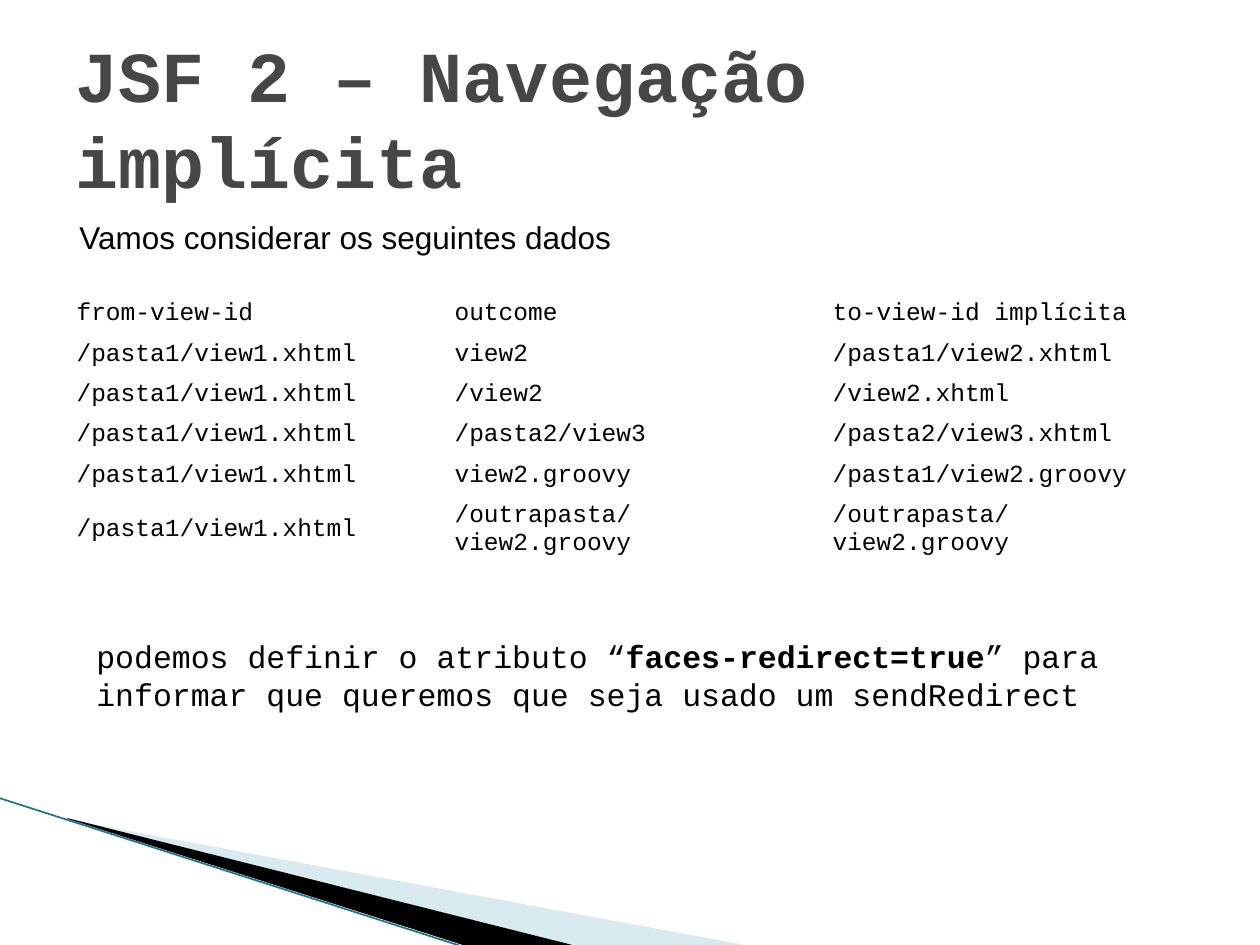
from pptx import Presentation
from pptx import util as u
from pptx.dml.color import RGBColor
from pptx.enum import shapes, text
from pptx.oxml.ns import qn
from lxml import etree

SCALE = 914400 / 126
BLACK = RGBColor(0x00, 0x00, 0x00)
GREY = RGBColor(0x46, 0x46, 0x46)
PALE_BLUE = RGBColor(0xA0, 0xCB, 0xDC)
TEAL = RGBColor(0x1A, 0x73, 0x88)
MONO = "Courier New"
SANS = "Arial"

ORIGIN = "/pasta1/view1.xhtml"
NAVIGATION = [
    ("from-view-id", "outcome", "to-view-id implícita"),
    (ORIGIN, "view2", "/pasta1/view2.xhtml"),
    (ORIGIN, "/view2", "/view2.xhtml"),
    (ORIGIN, "/pasta2/view3", "/pasta2/view3.xhtml"),
    (ORIGIN, "view2.groovy", "/pasta1/view2.groovy"),
    (ORIGIN, "/outrapasta/view2.groovy", "/outrapasta/view2.groovy"),
]


def px(length):
    return u.Emu(round(length * SCALE))


def add_span(para, words, size, font=MONO, color=BLACK, bold=False):
    span = para.add_run()
    span.text = words
    span.font.size = u.Pt(size)
    span.font.name = font
    span.font.color.rgb = color
    span.font.bold = bold


def add_wedge(page, left, top, points, color, opacity=100):
    builder = page.shapes.build_freeform(*points[0], scale=SCALE)
    builder.add_line_segments(points[1:], close=True)
    wedge = builder.convert_to_shape(px(left), px(top))
    wedge.shadow.inherit = False
    wedge.fill.solid()
    wedge.fill.fore_color.rgb = color
    wedge.line.fill.background()
    if opacity < 100:
        tint = wedge.fill._xPr.find(".//" + qn("a:srgbClr"))
        etree.SubElement(tint, qn("a:alpha"), val=str(opacity * 1000))


def add_corner(page, left, top):
    add_wedge(page, left + 69, top + 21,
              [(0, 1), (681, 127), (506, 127), (0, 0)], PALE_BLUE, 40)
    add_wedge(page, left + 67, top + 20,
              [(0, 0), (509, 128), (402, 129), (1, 1)], BLACK)
    edge = page.shapes.add_connector(
        shapes.MSO_CONNECTOR.STRAIGHT,
        px(left - 1), px(top), px(left + 467), px(top + 150))
    edge.line.color.rgb = TEAL
    edge.line.width = u.Pt(0.95)
    etree.SubElement(edge._element.spPr, qn("a:effectLst"))


def add_title(page, left, top, width, height):
    title = page.shapes.title
    title.left, title.top, title.width, title.height = map(
        px, (left, top, width, height))
    frame = title.text_frame
    frame.word_wrap = True
    frame.auto_size = text.MSO_AUTO_SIZE.NONE
    frame.vertical_anchor = text.MSO_ANCHOR.MIDDLE
    para = frame.paragraphs[0]
    para.alignment = text.PP_ALIGN.LEFT
    add_span(para, "JSF 2 – Navegação implícita", 41, color=GREY, bold=True)


def add_text(page, left, top, width, height, spans, font, anchor):
    box = page.shapes.add_textbox(*map(px, (left, top, width, height)))
    frame = box.text_frame
    frame.word_wrap = True
    frame.auto_size = text.MSO_AUTO_SIZE.SHAPE_TO_FIT_TEXT
    frame.vertical_anchor = anchor
    for words, bold in spans:
        add_span(frame.paragraphs[0], words, 18, font, bold=bold)


def add_navigation(page, left, top, width, height):
    table = page.shapes.add_table(
        len(NAVIGATION), len(NAVIGATION[0]),
        *map(px, (left, top, width, height))).table
    table.first_row = False
    table.horz_banding = False
    for row, entries in enumerate(NAVIGATION):
        for column, words in enumerate(entries):
            cell = table.cell(row, column)
            cell.fill.background()
            cell.vertical_anchor = text.MSO_ANCHOR.MIDDLE
            add_span(cell.text_frame.paragraphs[0], words, 14)


def main():
    deck = Presentation()
    deck.slide_width, deck.slide_height = px(1260), px(945)
    page = deck.slides.add_slide(deck.slide_layouts[5])
    add_corner(page, 0, 798)
    add_navigation(page, 64, 294, 1134, 240)
    add_title(page, 63, 38, 1134, 158)
    add_text(page, 67, 212, 1129, 50,
             [("Vamos considerar os seguintes dados", False)],
             SANS, text.MSO_ANCHOR.MIDDLE)
    add_text(page, 84, 631, 1081, 89,
             [("podemos definir o atributo “", False),
              ("faces-redirect=true", True),
              ("” para informar que queremos que seja usado um sendRedirect",
               False)],
             MONO, text.MSO_ANCHOR.TOP)
    deck.save("out.pptx")


if __name__ == "__main__":
    main()
